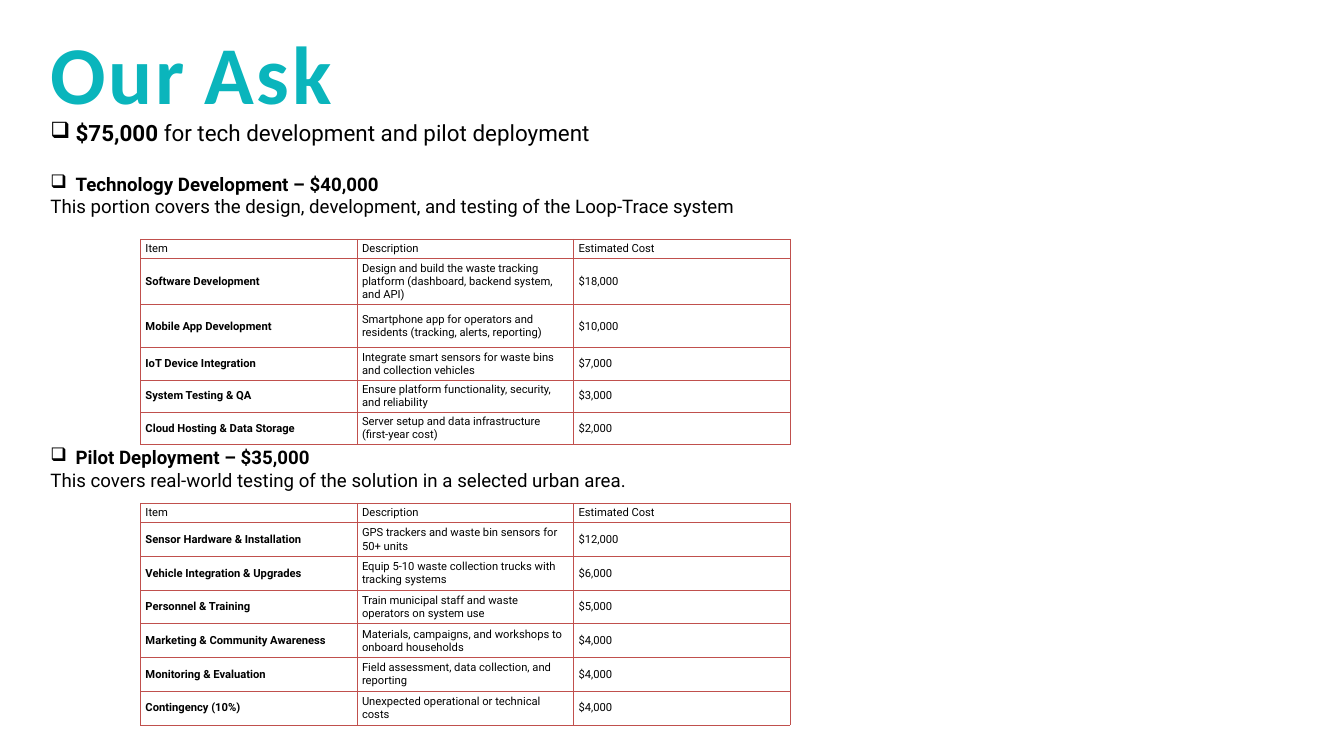
from dataclasses import dataclass
from typing import NamedTuple

from lxml.etree import SubElement
from pptx import Presentation
from pptx.dml.color import RGBColor
from pptx.enum.text import MSO_ANCHOR
from pptx.oxml.ns import qn
from pptx.util import Pt


@dataclass(frozen=True)
class Theme:
    title: str = "0AB5BC"
    text: str = "000000"
    border: str = "C0504D"
    title_font: str = "Calibri"
    space_font: str = "Arial Narrow"
    body_font: str = "Roboto"
    title_size: float = 88
    space_size: float = 77.5
    lead_size: float = 24
    body_size: float = 20
    table_size: float = 12


class Line(NamedTuple):
    bold: str = ""
    plain: str = ""
    size: float = 20
    bullet: bool = False
    before: float = 0


class Item(NamedTuple):
    name: str
    description: str
    cost: str


class Budget(NamedTuple):
    top: float
    heights: list[float]
    items: list[Item]


THEME = Theme()
TABLE_LEFT = 150.5
COLUMN_WIDTH = 232
HEADER = Item("Item", "Description", "Estimated Cost")

LINES = [
    Line("$75,000 ", "for tech development and pilot deployment", THEME.lead_size, True),
    Line("Technology Development – $40,000", bullet=True, before=28),
    Line(plain="This portion covers the design, development, and testing of the Loop-Trace system"),
    Line("Pilot Deployment – $35,000", bullet=True, before=245),
    Line(plain="This covers real-world testing of the solution in a selected urban area."),
]

BUDGETS = [
    Budget(256.3, [20.9, 49.3, 46] + [34.6] * 3, [
        Item("Software Development",
             "Design and build the waste tracking platform (dashboard, backend system, and API)", "$18,000"),
        Item("Mobile App Development",
             "Smartphone app for operators and residents (tracking, alerts, reporting)", "$10,000"),
        Item("IoT Device Integration",
             "Integrate smart sensors for waste bins and collection vehicles", "$7,000"),
        Item("System Testing & QA",
             "Ensure platform functionality, security, and reliability", "$3,000"),
        Item("Cloud Hosting & Data Storage",
             "Server setup and data infrastructure (first-year cost)", "$2,000"),
    ]),
    Budget(539.3, [20.9] + [36.1] * 6, [
        Item("Sensor Hardware & Installation",
             "GPS trackers and waste bin sensors for 50+ units", "$12,000"),
        Item("Vehicle Integration & Upgrades",
             "Equip 5-10 waste collection trucks with tracking systems", "$6,000"),
        Item("Personnel & Training",
             "Train municipal staff and waste operators on system use", "$5,000"),
        Item("Marketing & Community Awareness",
             "Materials, campaigns, and workshops to onboard households", "$4,000"),
        Item("Monitoring & Evaluation",
             "Field assessment, data collection, and reporting", "$4,000"),
        Item("Contingency (10%)",
             "Unexpected operational or technical costs", "$4,000"),
    ]),
]


def format_run(r, size: float, bold: bool, color: str = THEME.text,
               font: str = THEME.body_font) -> None:
    r.font.size = Pt(size)
    r.font.bold = bold
    r.font.name = font
    r.font.color.rgb = RGBColor.from_string(color)


def add_text_frame(slide, left: float, top: float, width: float, height: float, inset: float):
    tf = slide.shapes.add_textbox(Pt(left), Pt(top), Pt(width), Pt(height)).text_frame
    tf.word_wrap = True
    tf.margin_left = tf.margin_right = tf.margin_bottom = 0
    tf.margin_top = Pt(inset)
    return tf


def add_title(slide) -> None:
    p = add_text_frame(slide, 54, 17.3, 418, 112, 6.5).paragraphs[0]
    word = (THEME.title_size, THEME.title_font, 3)
    space = (THEME.space_size, THEME.space_font, -1.5)
    for text, (size, font, spacing) in (("Our", word), (" ", space), ("Ask", word)):
        r = p.add_run()
        r.text = text
        format_run(r, size, True, THEME.title, font)
        r.font._element.set("spc", str(int(spacing * 100)))


def add_body(slide, lines: list[Line]) -> None:
    tf = add_text_frame(slide, 54, 126.7, 1290, 680, 1.4)
    for index, line in enumerate(lines):
        p = tf.add_paragraph() if index else tf.paragraphs[0]
        if line.before:
            p.space_before = Pt(line.before)
        if line.bullet:
            pPr = p._p.get_or_add_pPr()
            pPr.set("marL", str(Pt(27)))
            pPr.set("indent", str(-Pt(27)))
            SubElement(pPr, qn("a:buChar"), char="❑")
        for text, bold in ((line.bold, True), (line.plain, False)):
            if text:
                r = p.add_run()
                r.text = text
                format_run(r, line.size, bold)


def add_borders(cell) -> None:
    tcPr = cell._tc.get_or_add_tcPr()
    for side in ("lnL", "lnR", "lnT", "lnB"):
        ln = SubElement(tcPr, qn(f"a:{side}"), w=str(Pt(1)))
        fill = SubElement(ln, qn("a:solidFill"))
        SubElement(fill, qn("a:srgbClr"), val=THEME.border)


def add_budget(slide, budget: Budget) -> None:
    rows = [HEADER, *budget.items]
    table = slide.shapes.add_table(
        len(rows), len(HEADER), Pt(TABLE_LEFT), Pt(budget.top),
        Pt(COLUMN_WIDTH * len(HEADER)), Pt(sum(budget.heights))).table
    table.first_row = table.horz_banding = False
    for column in table.columns:
        column.width = Pt(COLUMN_WIDTH)
    for i, (item, height) in enumerate(zip(rows, budget.heights)):
        table.rows[i].height = Pt(height)
        for j, text in enumerate(item):
            cell = table.cell(i, j)
            cell.text_frame.text = text
            cell.vertical_anchor = MSO_ANCHOR.MIDDLE
            cell.margin_left = cell.margin_right = Pt(5.4)
            cell.margin_top = cell.margin_bottom = Pt(2.7)
            add_borders(cell)
            cell.fill.background()
            format_run(cell.text_frame.paragraphs[0].runs[0],
                       THEME.table_size, i > 0 and j == 0)


def main() -> None:
    prs = Presentation()
    prs.slide_width, prs.slide_height = Pt(1440), Pt(810)
    slide = prs.slides.add_slide(prs.slide_layouts[6])
    add_body(slide, LINES)
    add_title(slide)
    for budget in BUDGETS:
        add_budget(slide, budget)
    prs.save("out.pptx")


if __name__ == "__main__":
    main()
